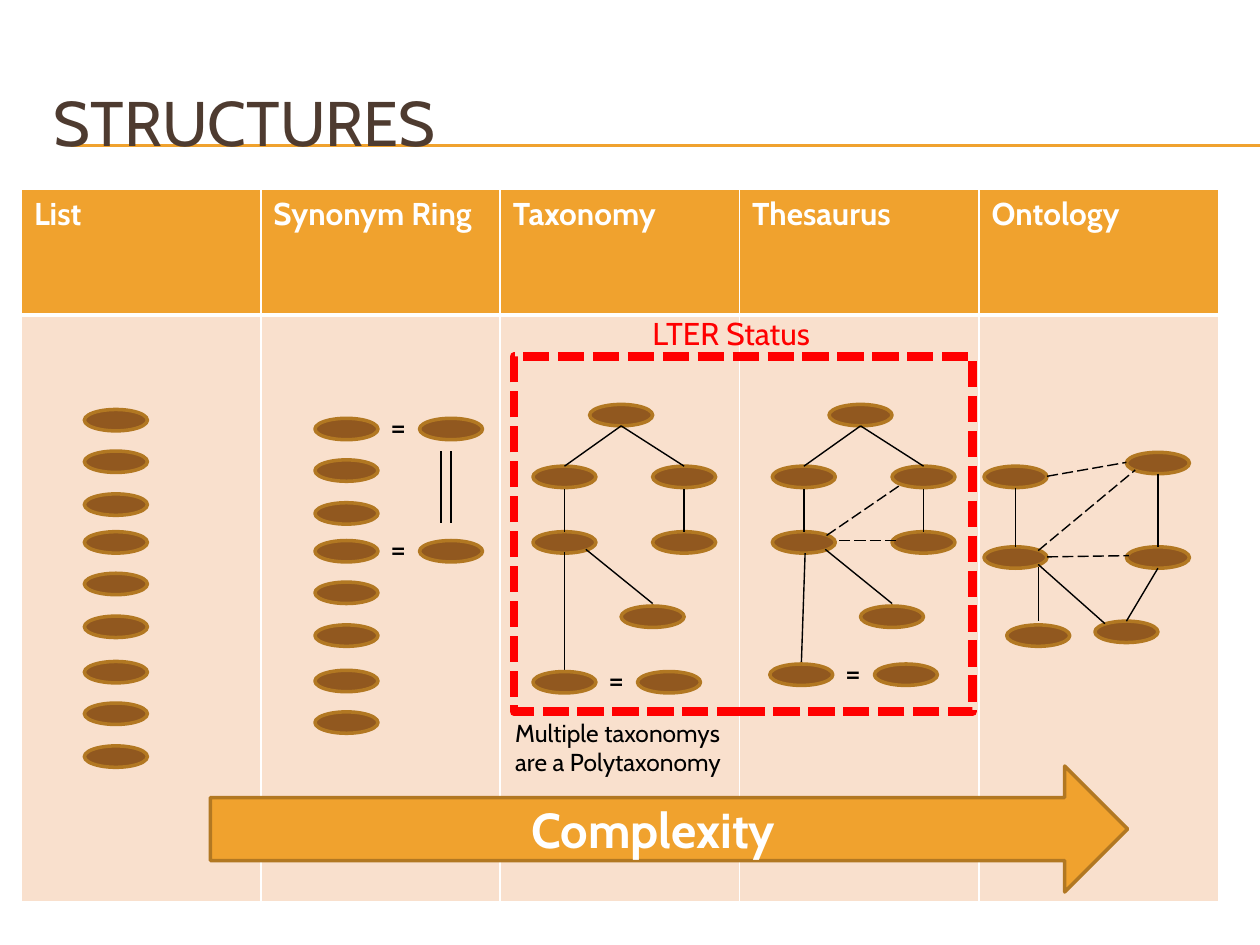
from pptx import Presentation
from pptx.dml.color import RGBColor
from pptx.enum.dml import MSO_LINE
from pptx.enum.shapes import MSO_CONNECTOR, MSO_SHAPE
from pptx.enum.text import MSO_ANCHOR, PP_ALIGN
from pptx.oxml.ns import qn
from pptx.util import Inches, Pt
from lxml.etree import SubElement

FONT = "Cabin"
GOLD = RGBColor(0xF0, 0xA2, 0x2E)
PEACH = RGBColor(0xF9, 0xE0, 0xCD)
BROWN = RGBColor(0x91, 0x58, 0x1F)
EDGE = RGBColor(0xB2, 0x78, 0x22)
DARK = RGBColor(0x4E, 0x3B, 0x30)
RED = RGBColor(0xFF, 0, 0)
BLACK = RGBColor(0, 0, 0)
WHITE = RGBColor(0xFF, 0xFF, 0xFF)
HEADS = ["List", "Synonym Ring", "Taxonomy", "Thesaurus", "Ontology"]
LEFT, TOP, WIDE, HEAD, BODY = 0.17, 1.5, 1.9, 1, 4.66
ROWS = [0.75, 1.08, 1.42, 1.72, 2.05, 2.39, 2.75, 3.08, 3.42]


def write(frame, text, size, color, bold=False):
    """Add one styled run to the first paragraph of a frame."""
    run = frame.paragraphs[0].add_run()
    run.text = text
    font = run.font
    font.name, font.size, font.bold = FONT, Pt(size), bold
    font.color.rgb = color


def label(slide, x, y, w, h, text, size, color, wrap=True, anchor=MSO_ANCHOR.TOP):
    """Place a text box."""
    frame = slide.shapes.add_textbox(Inches(x), Inches(y), Inches(w), Inches(h)).text_frame
    frame.word_wrap = wrap
    frame.vertical_anchor = anchor
    write(frame, text, size, color)


def block(slide, kind, x, y, w, h, fill, edge, width):
    """Place a preset shape without shadow; no fill when fill is None."""
    shape = slide.shapes.add_shape(kind, Inches(x), Inches(y), Inches(w), Inches(h))
    shape.shadow.inherit = False
    if fill is None:
        shape.fill.background()
    else:
        shape.fill.solid()
        shape.fill.fore_color.rgb = fill
    shape.line.color.rgb = edge
    shape.line.width = Pt(width)
    return shape


def link(slide, x, y, ends, dash=False, color=BLACK, width=0.79):
    """Draw a straight line whose ends are relative to x, y."""
    a, b, c, d = ends
    line = slide.shapes.add_connector(
        MSO_CONNECTOR.STRAIGHT, Inches(x + a), Inches(y + b), Inches(x + c), Inches(y + d))
    line.line.color.rgb = color
    line.line.width = Pt(width)
    if dash:
        line.line.dash_style = MSO_LINE.LONG_DASH
    SubElement(line._element.spPr, qn("a:effectLst"))


def graph(slide, x, y, nodes, solid=(), dashed=()):
    """Draw term ovals and their links relative to x, y."""
    for a, b in nodes:
        block(slide, MSO_SHAPE.OVAL, x + a, y + b, 0.5, 0.17, BROWN, EDGE, 2)
    for ends in solid:
        link(slide, x, y, ends)
    for ends in dashed:
        link(slide, x, y, ends, True)


def pair(slide, x, y):
    """Draw two terms joined by an equals sign."""
    graph(slide, x, y, [(0, 0), (0.83, 0)])
    label(slide, x + 0.5, y - 0.14, 0.33, 0.4, "=", 18, BLACK)


def title(slide, x, y):
    """Draw the title over its double rule."""
    for gap in (0.65, 0.66):
        link(slide, x, y, (0.23, gap, 10 - x, gap), color=GOLD, width=0.75)
    label(slide, x, y, 9.5, 0.92, "STRUCTURES", 36, DARK, anchor=MSO_ANCHOR.MIDDLE)


def border(cell, base):
    """Give a cell white borders with the stated bottom width."""
    props = cell._tc.get_or_add_tcPr()
    for spot, (tag, width) in enumerate(zip("LRTB", (1, 1, 1, base))):
        line = props.makeelement(qn("a:ln" + tag), {"w": str(Pt(width))})
        fill = SubElement(line, qn("a:solidFill"))
        SubElement(fill, qn("a:srgbClr"), val=str(WHITE))
        props.insert(spot, line)


def grid(slide, x, y):
    """Draw the table of structure kinds."""
    table = slide.shapes.add_table(
        2, len(HEADS), Inches(x), Inches(y),
        Inches(WIDE * len(HEADS)), Inches(HEAD + BODY)).table
    table.rows[0].height, table.rows[1].height = Inches(HEAD), Inches(BODY)
    for col, text in enumerate(HEADS):
        table.columns[col].width = Inches(WIDE)
        for row, (fill, base) in enumerate([(GOLD, 3), (PEACH, 1)]):
            cell = table.cell(row, col)
            cell.fill.solid()
            cell.fill.fore_color.rgb = fill
            border(cell, base)
        write(table.cell(0, col).text_frame, text, 18, WHITE, True)


def plain(slide, x, y):
    """Draw the list of terms."""
    graph(slide, x, y, [(0.5, row) for row in ROWS])


def ring(slide, x, y):
    """Draw the synonym ring."""
    for spot, row in enumerate(ROWS[:8]):
        if spot in (0, 3):
            pair(slide, x + 0.43, y + row + 0.07)
        else:
            graph(slide, x, y, [(0.43, row + 0.07)])
    graph(slide, x, y, [], [(a, 1.08, a, 1.65) for a in (1.43, 1.51)])


def tree(slide, x, y, stem, dashed=()):
    """Draw a tree whose stem leads down to a synonym pair."""
    nodes = [(0.71, 0.71), (0.26, 1.2), (1.21, 1.2), (0.26, 1.72), (1.21, 1.72), (0.96, 2.31)]
    solid = [(0.96, 0.88, 0.51, 1.2), (0.96, 0.88, 1.46, 1.2), (0.51, 1.38, 0.51, 1.72),
             (1.46, 1.38, 1.46, 1.72), (0.68, 1.86, 1.21, 2.29), stem]
    graph(slide, x, y, nodes, solid, dashed)
    pair(slide, x + stem[2] - 0.25, y + stem[3])


def web(slide, x, y):
    """Draw the ontology network."""
    nodes = [(0.04, 1.2), (1.17, 1.09), (0.04, 1.84), (1.17, 1.84), (0.22, 2.46), (0.92, 2.43)]
    solid = [(0.29, 1.37, 0.29, 1.84), (1.42, 1.26, 1.42, 1.84), (0.47, 2, 0.47, 2.43),
             (0.47, 1.98, 1, 2.45), (1.42, 2.01, 1.17, 2.43)]
    dashed = [(0.54, 1.28, 1.17, 1.17), (0.54, 1.92, 1.19, 1.91), (0.47, 1.87, 1.24, 1.23)]
    graph(slide, x, y, nodes, solid, dashed)


def arrow(slide, x, y):
    """Draw the complexity arrow."""
    shape = block(slide, MSO_SHAPE.RIGHT_ARROW, x, y, 7.28, 1, GOLD, EDGE, 2)
    frame = shape.text_frame
    frame.vertical_anchor = MSO_ANCHOR.MIDDLE
    frame.paragraphs[0].alignment = PP_ALIGN.CENTER
    write(frame, "Complexity", 28, WHITE, True)


def status(slide, x, y):
    """Draw the dashed status frame with its caption and note."""
    label(slide, x - 0.09, y + 2.82, 1.88, 0.57,
          "Multiple taxonomys are a Polytaxonomy", 14, BLACK)
    frame = block(slide, MSO_SHAPE.RECTANGLE, x, y, 3.64, 2.82, None, RED, 5)
    frame.line.dash_style = MSO_LINE.SQUARE_DOT
    label(slide, x + 1, y - 0.39, 1.53, 0.4, "LTER Status", 18, RED, False)


def main():
    """Build and save the slide."""
    deck = Presentation()
    deck.slide_width, deck.slide_height = Inches(10), Inches(7.5)
    slide = deck.slides.add_slide(deck.slide_layouts[6])
    title(slide, 0.33, 0.5)
    grid(slide, LEFT, TOP)
    cols = [LEFT + WIDE * spot for spot in range(len(HEADS))]
    top = TOP + HEAD
    plain(slide, cols[0], top)
    ring(slide, cols[1], top)
    tree(slide, cols[2], top, (0.51, 1.88, 0.51, 2.83))
    tree(slide, cols[3], top, (0.52, 1.89, 0.49, 2.77),
         [(0.79, 1.79, 1.24, 1.79), (0.69, 1.75, 1.29, 1.34)])
    web(slide, cols[4], top)
    arrow(slide, 1.67, 6.08)
    status(slide, 4.08, 2.83)
    deck.save("out.pptx")


main()
